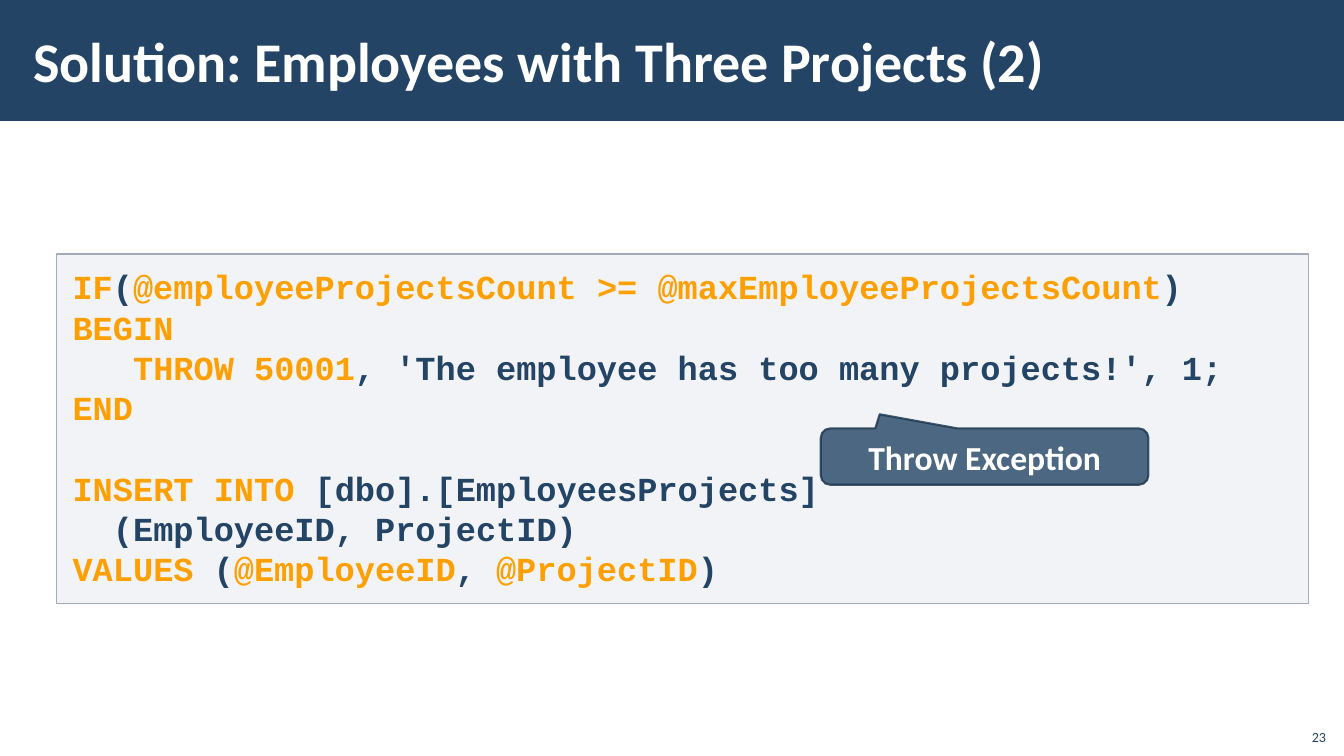
"""Builds the slide with the SQL solution for employees with three projects."""
from lxml.etree import SubElement
from pptx import Presentation
from pptx.dml.color import RGBColor
from pptx.enum.shapes import MSO_SHAPE as SHAPE
from pptx.enum.text import MSO_ANCHOR as ANCHOR, PP_ALIGN as ALIGN
from pptx.oxml.ns import qn
from pptx.util import Pt

PX = 9144
NAVY, ORANGE, WHITE = "234465", "FFA000", "FFFFFF"
rgb = RGBColor.from_string


def style(r, size, color, bold=True, font="Calibri"):
    r.font.name, r.font.size, r.font.bold = font, Pt(size), bold
    r.font.color.rgb = rgb(color)


def add_box(kind, at, fill, line, width, fill_opacity=100, line_opacity=100):
    sp = s.shapes.add_shape(kind, *(v * PX for v in at))
    sp.shadow.inherit = False
    sp.line.width = Pt(width)
    for paint, color, opacity in ((sp.fill, fill, fill_opacity), (sp.line.fill, line, line_opacity)):
        paint.solid()
        paint.fore_color.rgb = rgb(color)
        if opacity < 100:
            clr = paint._xPr.find(qn("a:solidFill")).find(qn("a:srgbClr"))
            SubElement(clr, qn("a:alpha")).set("val", str(opacity * 1000))
    return sp


prs = Presentation()
prs.slide_width, prs.slide_height = 1333 * PX, 750 * PX
s = prs.slides.add_slide(prs.slide_layouts[6])

header = add_box(SHAPE.RECTANGLE, (0, 0, 1333, 120), NAVY, NAVY, 1)
header.line.fill.background()

labels = [
    ("Solution: Employees with Three Projects (2)", (21, 11, 1063, 97), 40, WHITE, True,
     ALIGN.LEFT, ANCHOR.MIDDLE, 12),
    ("23", (1285, 712, 40, 32), 10, NAVY, False, ALIGN.RIGHT, ANCHOR.BOTTOM, 10),
]
for text, at, size, color, bold, align, anchor, inset in labels:
    tf = s.shapes.add_textbox(*(v * PX for v in at)).text_frame
    tf.word_wrap = True
    tf.vertical_anchor = anchor
    tf.margin_left = tf.margin_right = inset * PX
    p = tf.paragraphs[0]
    p.text, p.alignment = text, align
    style(p.runs[0], size, color, bold)

code_box = add_box(SHAPE.RECTANGLE, (56, 252, 1242, 347), "C2C7D2", "A3ABBC", 1, 20)
tf = code_box.text_frame
tf.word_wrap = True
tf.vertical_anchor = ANCHOR.TOP
tf.margin_left = tf.margin_right = 16 * PX
tf.margin_top = tf.margin_bottom = 12 * PX

code = """IF|(|@employeeProjectsCount >= @maxEmployeeProjectsCount|)
BEGIN
   THROW 50001|, 'The employee has too many projects!', 1;
END
INSERT INTO| [dbo].[EmployeesProjects]
|  (EmployeeID, ProjectID)
VALUES| (|@EmployeeID|, |@ProjectID|)"""
for i, line in enumerate(code.split("\n")):
    p = tf.add_paragraph() if i else tf.paragraphs[0]
    p.alignment = ALIGN.LEFT
    if line.startswith("INSERT"):
        p.space_before = Pt(28.8)
    for j, part in enumerate(line.split("|")):
        if part:
            r = p.add_run()
            r.text = part
            style(r, 24, NAVY if j % 2 else ORANGE, font="Courier New")

callout = add_box(SHAPE.ROUNDED_RECTANGULAR_CALLOUT, (814, 425, 325, 56), NAVY, "1A334C", 1.5, 80, 80)
for i, value in enumerate((-0.32, -0.75, 0.17)):
    callout.adjustments[i] = value
tf = callout.text_frame
tf.word_wrap = True
tf.vertical_anchor = ANCHOR.MIDDLE
p = tf.paragraphs[0]
p.text, p.alignment = "Throw Exception", ALIGN.CENTER
style(p.runs[0], 24, WHITE)

prs.save("out.pptx")
